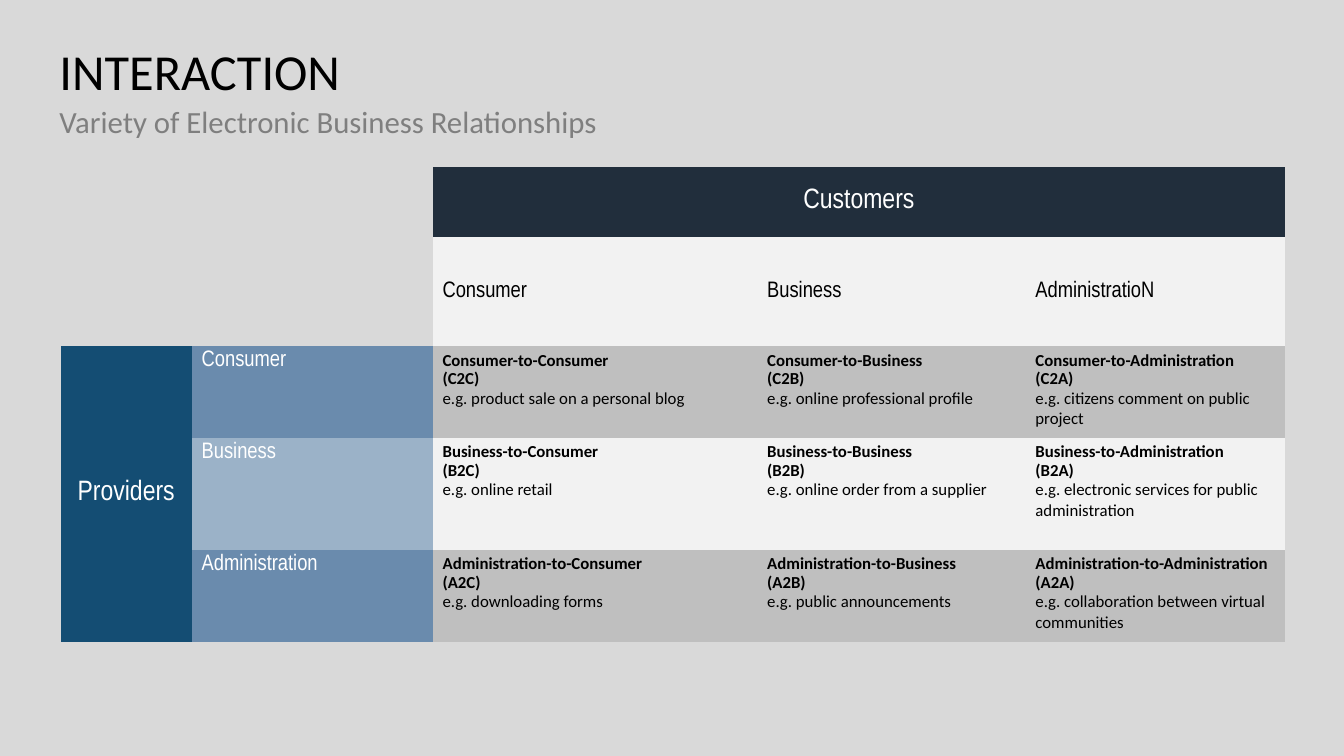
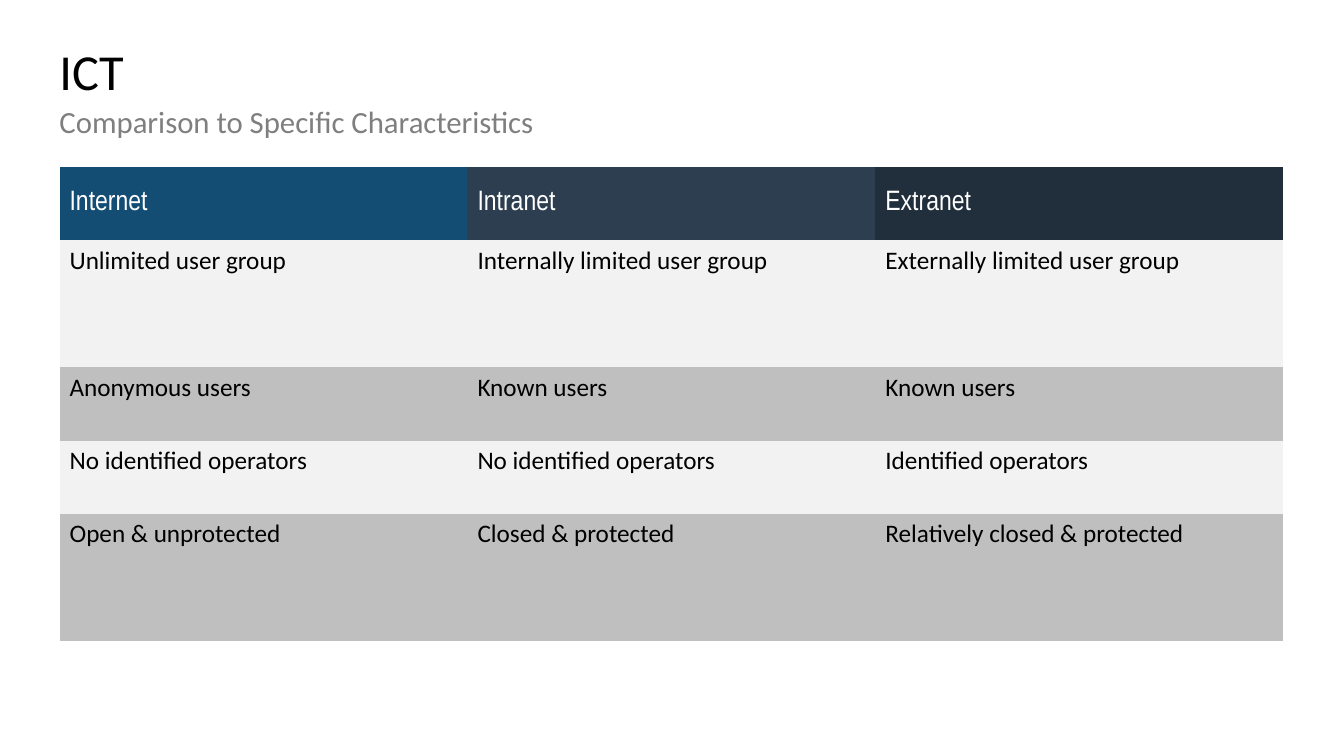
from dataclasses import dataclass
from typing import Optional

from pptx import Presentation
from pptx.dml.color import RGBColor
from pptx.enum.text import MSO_ANCHOR, PP_ALIGN
from pptx.oxml.ns import qn
from pptx.util import Cm, Pt

LEFT = PP_ALIGN.LEFT
CENTER = PP_ALIGN.CENTER
TOP = MSO_ANCHOR.TOP
MIDDLE = MSO_ANCHOR.MIDDLE

COLORS = {
    "black": "000000",
    "white": "FFFFFF",
    "backdrop": "D9D9D9",
    "subtitle": "7F7F7F",
    "navy": "212E3C",
    "slate": "2C3E50",
    "blue": "144D73",
    "steel": "6A8BAD",
    "mist": "9BB2C8",
    "light": "F2F2F2",
    "grey": "BFBFBF",
}
BODY_FONT = "Calibri"
LABEL_FONT = "Arial Narrow"
PLAIN_TABLE_STYLE = "{2D5ABB26-0587-4C30-8999-92F81FD0307C}"
MARGIN_LEFT = 1.5
CONTENT_WIDTH = 30.86


@dataclass(frozen=True)
class ProviderRow:
    name: str
    label_fill: str
    fill: str
    relations: tuple[tuple[str, str], ...]


@dataclass(frozen=True)
class ComparisonRow:
    fill: str
    texts: tuple[str, str, str]


CUSTOMERS = ("Consumer", "Business", "AdministratioN")
PROVIDERS = (
    ProviderRow("Consumer", "steel", "grey", (
        ("Consumer-to-Consumer\v(C2C)", "e.g. product sale on a personal blog"),
        ("Consumer-to-Business\v(C2B)", "e.g. online professional profile"),
        ("Consumer-to-Administration (C2A)", "e.g. citizens comment on public project"),
    )),
    ProviderRow("Business", "mist", "light", (
        ("Business-to-Consumer\v(B2C)", "e.g. online retail"),
        ("Business-to-Business\v(B2B)", "e.g. online order from a supplier"),
        ("Business-to-Administration\v(B2A)", "e.g. electronic services for public administration"),
    )),
    ProviderRow("Administration", "steel", "grey", (
        ("Administration-to-Consumer\v(A2C)", "e.g. downloading forms"),
        ("Administration-to-Business\v(A2B)", "e.g. public announcements"),
        ("Administration-to-Administration (A2A)", "e.g. collaboration between virtual communities"),
    )),
)
NETWORKS = (("Internet", "blue"), ("Intranet", "slate"), ("Extranet", "navy"))
COMPARISON = (
    ComparisonRow("light", ("Unlimited user group", "Internally limited user group",
                            "Externally limited user group")),
    ComparisonRow("grey", ("Anonymous users", "Known users", "Known users")),
    ComparisonRow("light", ("No identified operators", "No identified operators",
                            "Identified operators")),
    ComparisonRow("grey", ("Open & unprotected", "Closed & protected",
                           "Relatively closed & protected")),
)


def write_text(paragraph, text: str, *, size: float, font: str = BODY_FONT,
               color: str = "black", bold: bool = False, align=LEFT,
               line_spacing: float = 1.0, space_after: float = 0) -> None:
    paragraph.text = text
    paragraph.alignment = align
    paragraph.line_spacing = line_spacing
    paragraph.space_after = Pt(space_after)
    for run in paragraph.runs:
        run.font.size = Pt(size)
        run.font.name = font
        run.font.bold = bold
        run.font.color.rgb = RGBColor.from_string(COLORS[color])


def add_text_box(slide, text: str, top: float, height: float, **text_format) -> None:
    box = slide.shapes.add_textbox(Cm(MARGIN_LEFT), Cm(top), Cm(CONTENT_WIDTH), Cm(height))
    frame = box.text_frame
    frame.word_wrap = True
    frame.margin_left = frame.margin_top = frame.margin_right = frame.margin_bottom = 0
    write_text(frame.paragraphs[0], text, line_spacing=0.9, **text_format)


def add_titled_slide(presentation, title: str, subtitle: str, background: str):
    slide = presentation.slides.add_slide(presentation.slide_layouts[6])
    slide.background.fill.solid()
    slide.background.fill.fore_color.rgb = RGBColor.from_string(COLORS[background])
    add_text_box(slide, title, 1.19, 3, size=36)
    add_text_box(slide, subtitle, 2.69, 1.5, size=22, color="subtitle", space_after=10)
    return slide


def add_plain_table(slide, left: float, top: float, widths: list[float], heights: list[float]):
    frame = slide.shapes.add_table(len(heights), len(widths), Cm(left), Cm(top),
                                   Cm(sum(widths)), Cm(sum(heights)))
    table = frame.table
    table.first_row = False
    table.horz_banding = False
    for style in frame.element.iter(qn("a:tableStyleId")):
        style.text = PLAIN_TABLE_STYLE
    for column, width in zip(table.columns, widths):
        column.width = Cm(width)
    for row, height in zip(table.rows, heights):
        row.height = Cm(height)
    for cell in table.iter_cells():
        cell.fill.background()
    return table


def fill_cell(cell, text: str, fill: str, *, anchor=TOP, detail: Optional[str] = None,
              size: float, **text_format) -> None:
    cell.fill.solid()
    cell.fill.fore_color.rgb = RGBColor.from_string(COLORS[fill])
    cell.vertical_anchor = anchor
    frame = cell.text_frame
    write_text(frame.paragraphs[0], text, size=size, **text_format)
    if detail:
        write_text(frame.add_paragraph(), detail, size=size)


def build_interaction_slide(presentation) -> None:
    slide = add_titled_slide(presentation, "INTERACTION",
                             "Variety of Electronic Business Relationships", "backdrop")
    table = add_plain_table(slide, 1.53, 4.21, [3.3, 6.07, 8.18, 6.76, 6.55],
                            [1.75, 2.77, 2.31, 2.82, 2.31])
    table.cell(0, 2).merge(table.cell(0, 4))
    table.cell(2, 0).merge(table.cell(4, 0))
    for row, column, text, fill in ((0, 2, "Customers", "navy"), (2, 0, "Providers", "blue")):
        fill_cell(table.cell(row, column), text, fill, anchor=MIDDLE, size=20, font=LABEL_FONT,
                  color="white", align=CENTER, line_spacing=0.8)
    for column, customer in enumerate(CUSTOMERS, start=2):
        fill_cell(table.cell(1, column), customer, "light", anchor=MIDDLE, size=16,
                  font=LABEL_FONT, line_spacing=0.9)
    for row, provider in enumerate(PROVIDERS, start=2):
        fill_cell(table.cell(row, 1), provider.name, provider.label_fill, size=16,
                  font=LABEL_FONT, color="white", line_spacing=0.9)
        for column, (relation, example) in enumerate(provider.relations, start=2):
            fill_cell(table.cell(row, column), relation, provider.fill, detail=example,
                      size=12, bold=True, line_spacing=0.9)


def build_ict_slide(presentation) -> None:
    slide = add_titled_slide(presentation, "ICT", "Comparison to Specific Characteristics", "white")
    table = add_plain_table(slide, MARGIN_LEFT, 4.2, [10.28] * len(NETWORKS),
                            [1.85, 3.2, 1.85, 1.85, 3.2])
    for column, (network, fill) in enumerate(NETWORKS):
        fill_cell(table.cell(0, column), network, fill, anchor=MIDDLE, size=20,
                  font=LABEL_FONT, color="white")
    for row, comparison in enumerate(COMPARISON, start=1):
        for column, text in enumerate(comparison.texts):
            fill_cell(table.cell(row, column), text, comparison.fill, size=18)


def main() -> None:
    presentation = Presentation()
    presentation.slide_width = Cm(33.87)
    presentation.slide_height = Cm(19.05)
    build_interaction_slide(presentation)
    build_ict_slide(presentation)
    presentation.save("out.pptx")


if __name__ == "__main__":
    main()
